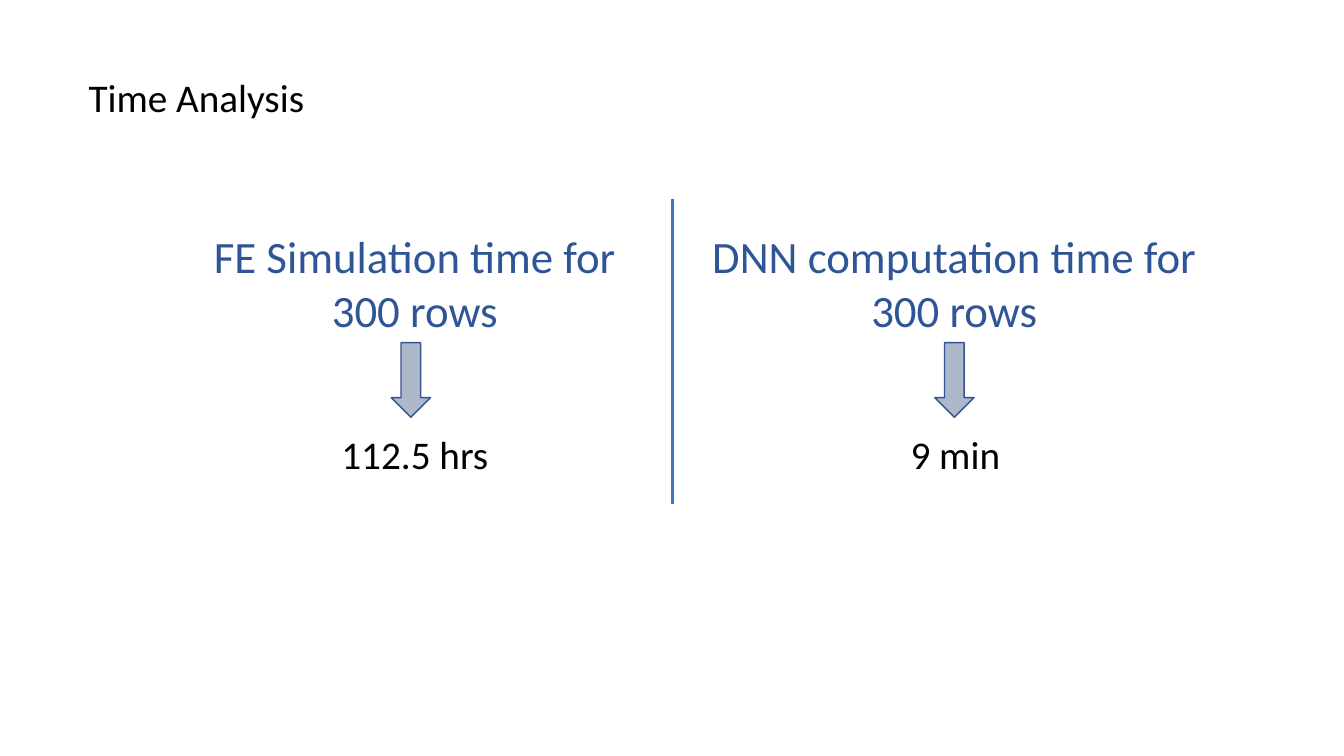
from dataclasses import dataclass

from lxml import etree
from pptx import Presentation
from pptx.dml.color import RGBColor
from pptx.enum.shapes import MSO_CONNECTOR as Line, MSO_SHAPE as Preset
from pptx.enum.text import MSO_AUTO_SIZE as AutoSize, PP_ALIGN as Align
from pptx.oxml.ns import qn
from pptx.slide import Slide
from pptx.util import Emu, Pt

PX = 9144  # EMU per px, 100 px to the inch
FONT = "Calibri"
COLORS = {
    "text": "000000",
    "heading": "2F5597",
    "divider": "4472C4",
    "arrow": "ADB9CA",
    "arrow_edge": "325491",
}

HEADING_TOP, HEADING_HEIGHT = 222, 118
ARROW_TOP, ARROW_WIDTH, ARROW_HEIGHT = 340, 39, 74
RESULT_TOP, RESULT_WIDTH, LINE_HEIGHT = 422, 667, 57


@dataclass(frozen=True)
class Timing:
    heading: str
    heading_left: int
    heading_width: int
    arrow_left: int
    result: str
    result_left: int


TIMINGS = [
    Timing("FE Simulation time for 300 rows", 183, 457, 388, "112.5 hrs", 78),
    Timing("DNN computation time for 300 rows", 691, 511, 927, "9 min", 614),
]


def px(length: int) -> Emu:
    return Emu(length * PX)


def rgb(name: str) -> RGBColor:
    return RGBColor.from_string(COLORS[name])


def add_text(slide: Slide, text: str, left: int, top: int, width: int, height: int,
             size: int, color: str = "text", align: Align = Align.CENTER) -> None:
    frame = slide.shapes.add_textbox(px(left), px(top), px(width), px(height)).text_frame
    frame.word_wrap = True
    frame.auto_size = AutoSize.SHAPE_TO_FIT_TEXT
    paragraph = frame.paragraphs[0]
    paragraph.alignment = align
    run = paragraph.add_run()
    run.text = text
    run.font.name = FONT
    run.font.size = Pt(size)
    run.font.color.rgb = rgb(color)


def add_arrow(slide: Slide, left: int) -> None:
    arrow = slide.shapes.add_shape(
        Preset.DOWN_ARROW, px(left), px(ARROW_TOP), px(ARROW_WIDTH), px(ARROW_HEIGHT))
    arrow.shadow.inherit = False
    arrow.fill.solid()
    arrow.fill.fore_color.rgb = rgb("arrow")
    arrow.line.color.rgb = rgb("arrow_edge")
    arrow.line.width = Pt(1)


def add_divider(slide: Slide, x: int, top: int, bottom: int) -> None:
    divider = slide.shapes.add_connector(Line.STRAIGHT, px(x), px(top), px(x), px(bottom))
    divider.line.color.rgb = rgb("divider")
    divider.line.width = Pt(1.5)
    etree.SubElement(divider._element.spPr, qn("a:effectLst"))


def add_timing(slide: Slide, timing: Timing) -> None:
    add_text(slide, timing.heading, timing.heading_left, HEADING_TOP,
             timing.heading_width, HEADING_HEIGHT, 32, "heading")
    add_arrow(slide, timing.arrow_left)
    add_text(slide, timing.result, timing.result_left, RESULT_TOP,
             RESULT_WIDTH, LINE_HEIGHT, 28)


def main() -> None:
    deck = Presentation()
    deck.slide_width, deck.slide_height = px(1333), px(750)
    slide = deck.slides.add_slide(deck.slide_layouts[6])

    # Title
    add_text(slide, "Time Analysis", 78, 68, 310, LINE_HEIGHT, 28, align=Align.LEFT)

    # Two timings side by side
    for timing in TIMINGS:
        add_timing(slide, timing)
    add_divider(slide, 667, 197, 500)

    deck.save("out.pptx")


if __name__ == "__main__":
    main()
